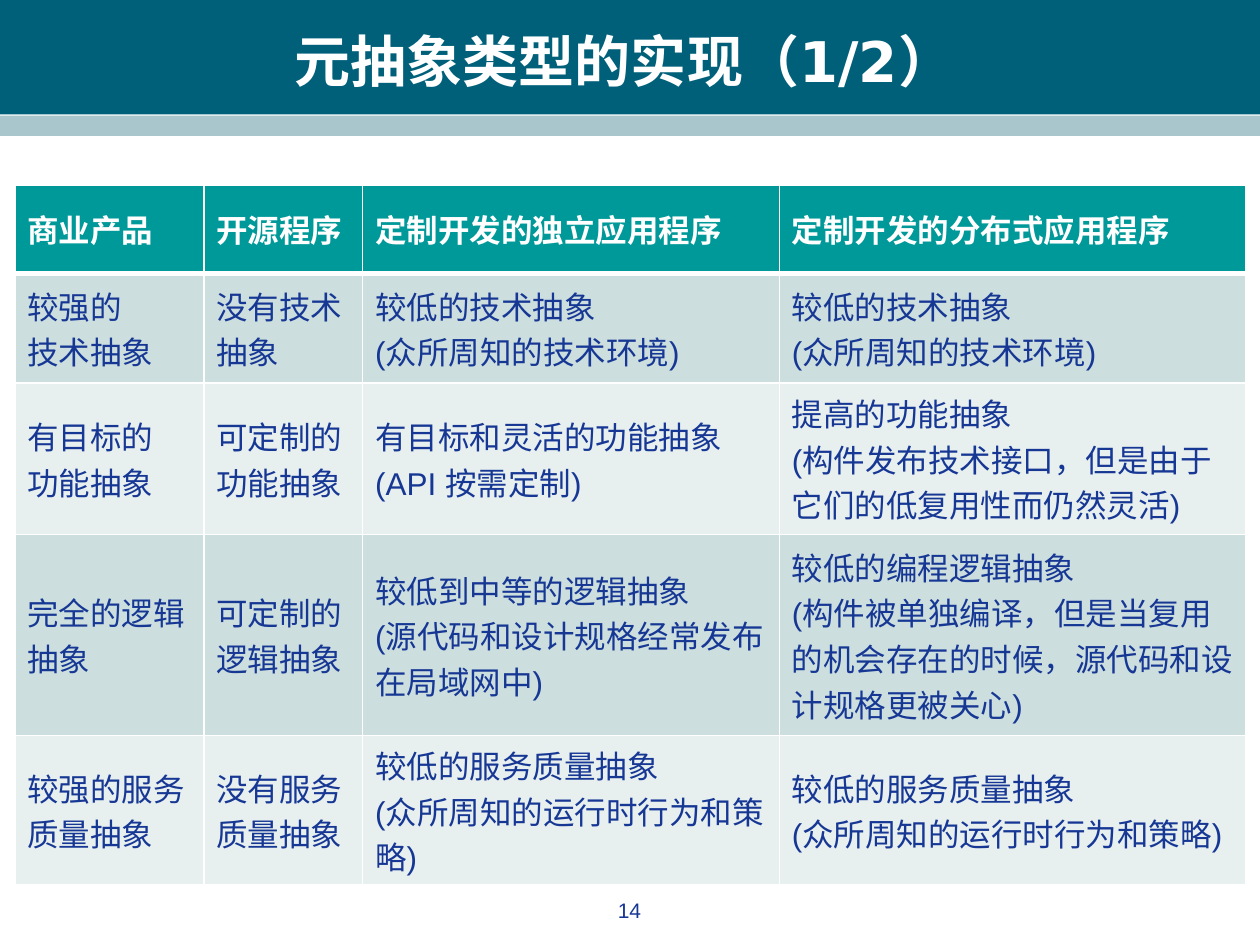
"""Build a slide with a table on how meta abstraction types are realised."""
from lxml import etree
from pptx import Presentation
from pptx.dml.color import RGBColor
from pptx.enum import shapes, text
from pptx.oxml import ns
from pptx.util import Cm, Pt

ROWS = [
    ["商业产品", "开源程序", "定制开发的独立应用程序", "定制开发的分布式应用程序"],
    ["较强的\n技术抽象", "没有技术抽象",
     "较低的技术抽象\n(众所周知的技术环境)", "较低的技术抽象\n(众所周知的技术环境)"],
    ["有目标的\n功能抽象", "可定制的功能抽象", "有目标和灵活的功能抽象(API 按需定制)",
     "提高的功能抽象\n(构件发布技术接口，但是由于它们的低复用性而仍然灵活)"],
    ["完全的逻辑抽象", "可定制的逻辑抽象",
     "较低到中等的逻辑抽象\n(源代码和设计规格经常发布在局域网中)",
     "较低的编程逻辑抽象\n(构件被单独编译，但是当复用的机会存在的时候，源代码和设计规格更被关心)"],
    ["较强的服务质量抽象", "没有服务质量抽象",
     "较低的服务质量抽象\n(众所周知的运行时行为和策略)",
     "较低的服务质量抽象\n(众所周知的运行时行为和策略)"],
]
WIDTHS = [3.81, 3.2, 8.4, 9.4]
HEIGHTS = [1.78, 2.21, 3.05, 4.06, 2.54]


def color(code):
    return RGBColor.from_string(code)


class Deck:
    """Hold the style and the current slide."""
    ink, white, head = "163794", "FFFFFF", "009999"
    bands = ["E7EFEF", "CCDEDE"]
    face = "Arial"

    def __init__(self, slide):
        self.slide = slide
        self.shapes = slide.shapes

    def style(self, frame, size, tint, bold=False, face=None, align=None):
        for para in frame.paragraphs:
            font = para.font
            font.name, font.size, font.bold = face or self.face, Pt(size), bold
            font.color.rgb = color(tint)
            para.alignment = align

    def bar(self, top, height, fill):
        bar = self.shapes.add_shape(
            shapes.MSO_SHAPE.RECTANGLE, 0, Cm(top), Cm(25.4), Cm(height))
        bar.shadow.inherit = False
        bar.fill.solid()
        bar.fill.fore_color.rgb = color(fill)
        bar.line.fill.background()

    def title(self, words):
        title = self.shapes.title
        title.left, title.top = Cm(0.84), Cm(0.43)
        title.width, title.height = Cm(23.5), Cm(1.57)
        frame = title.text_frame
        frame.text = words
        frame.vertical_anchor = text.MSO_ANCHOR.MIDDLE
        frame.auto_size = text.MSO_AUTO_SIZE.NONE
        self.style(frame, 32, self.white, True, "DejaVu Sans", text.PP_ALIGN.CENTER)
        title.element.getparent().append(title.element)

    def edges(self, cell, base):
        props = cell._tc.get_or_add_tcPr()
        for side, width in zip("LRTB", (1, 1, 1, base)):
            line = etree.SubElement(props, ns.qn(f"a:ln{side}"), w=str(Pt(width)))
            fill = etree.SubElement(line, ns.qn("a:solidFill"))
            etree.SubElement(fill, ns.qn("a:srgbClr"), val=self.white)

    def table(self, left, top, rows, widths, heights):
        table = self.shapes.add_table(
            len(rows), len(widths), Cm(left), Cm(top),
            Cm(sum(widths)), Cm(sum(heights))).table
        for col, width in zip(table.columns, widths):
            col.width = Cm(width)
        for row, height in zip(table.rows, heights):
            row.height = Cm(height)
        for i, row in enumerate(rows):
            top_row = i == 0
            for j, words in enumerate(row):
                cell = table.cell(i, j)
                cell.text = words
                cell.vertical_anchor = text.MSO_ANCHOR.MIDDLE
                self.edges(cell, 3 if top_row else 1)
                cell.fill.solid()
                cell.fill.fore_color.rgb = color(
                    self.head if top_row else self.bands[i % 2])
                self.style(cell.text_frame, 18,
                           self.white if top_row else self.ink, top_row)

    def number(self, words):
        box = self.shapes.add_textbox(Cm(9.73), Cm(17.96), Cm(5.92), Cm(0.89))
        frame = box.text_frame
        frame.word_wrap = True
        frame.text = words
        self.style(frame, 12, self.ink, align=text.PP_ALIGN.CENTER)


def main():
    show = Presentation()
    show.slide_width, show.slide_height = Cm(25.4), Cm(19.05)
    deck = Deck(show.slides.add_slide(show.slide_layouts[5]))
    deck.bar(0, 2.31, "00607A")
    deck.bar(2.33, 0.41, "A9C6CC")
    deck.title("元抽象类型的实现（1/2）")
    deck.table(0.3, 3.73, ROWS, WIDTHS, HEIGHTS)
    deck.number("14")
    show.save("out.pptx")


if __name__ == "__main__":
    main()
